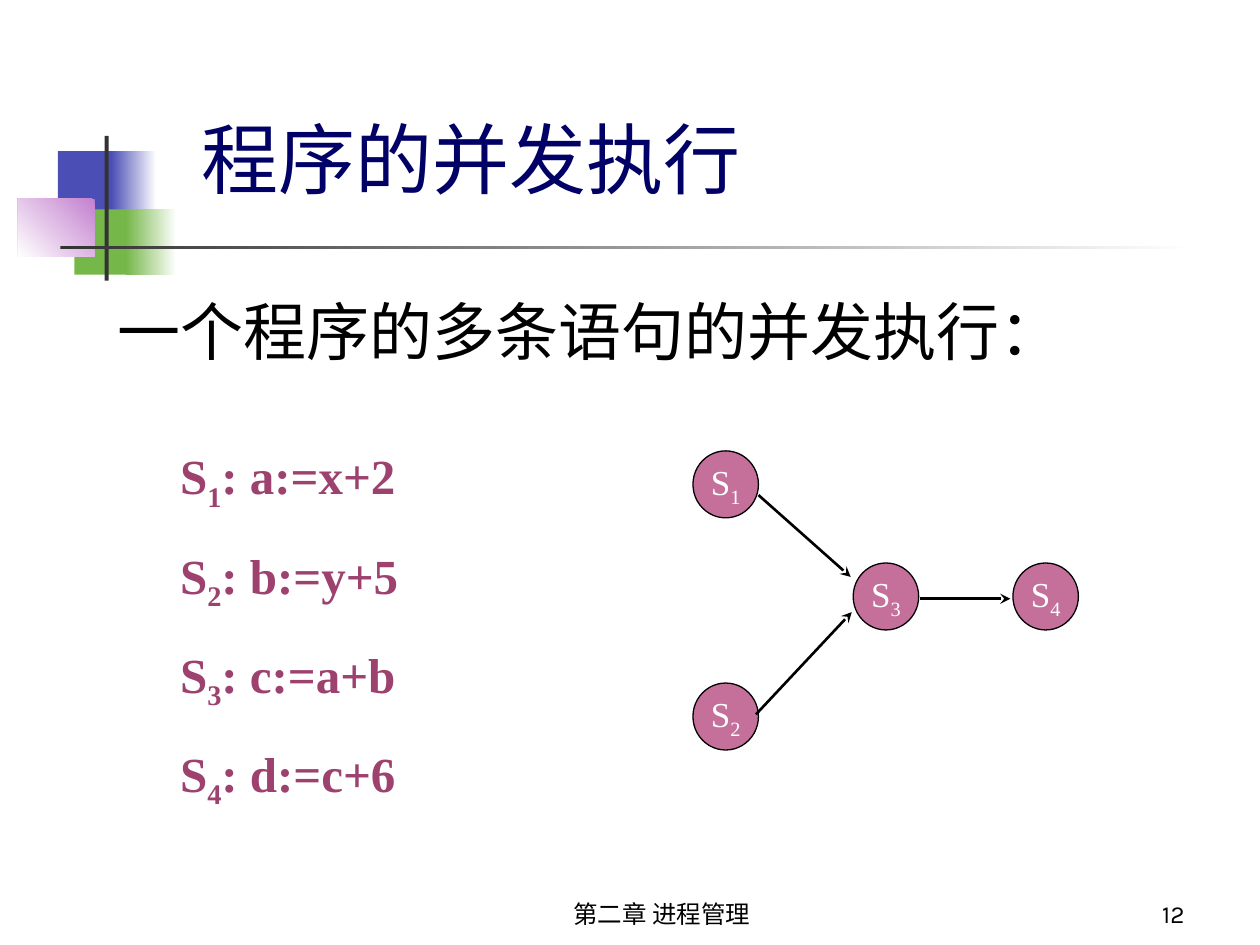
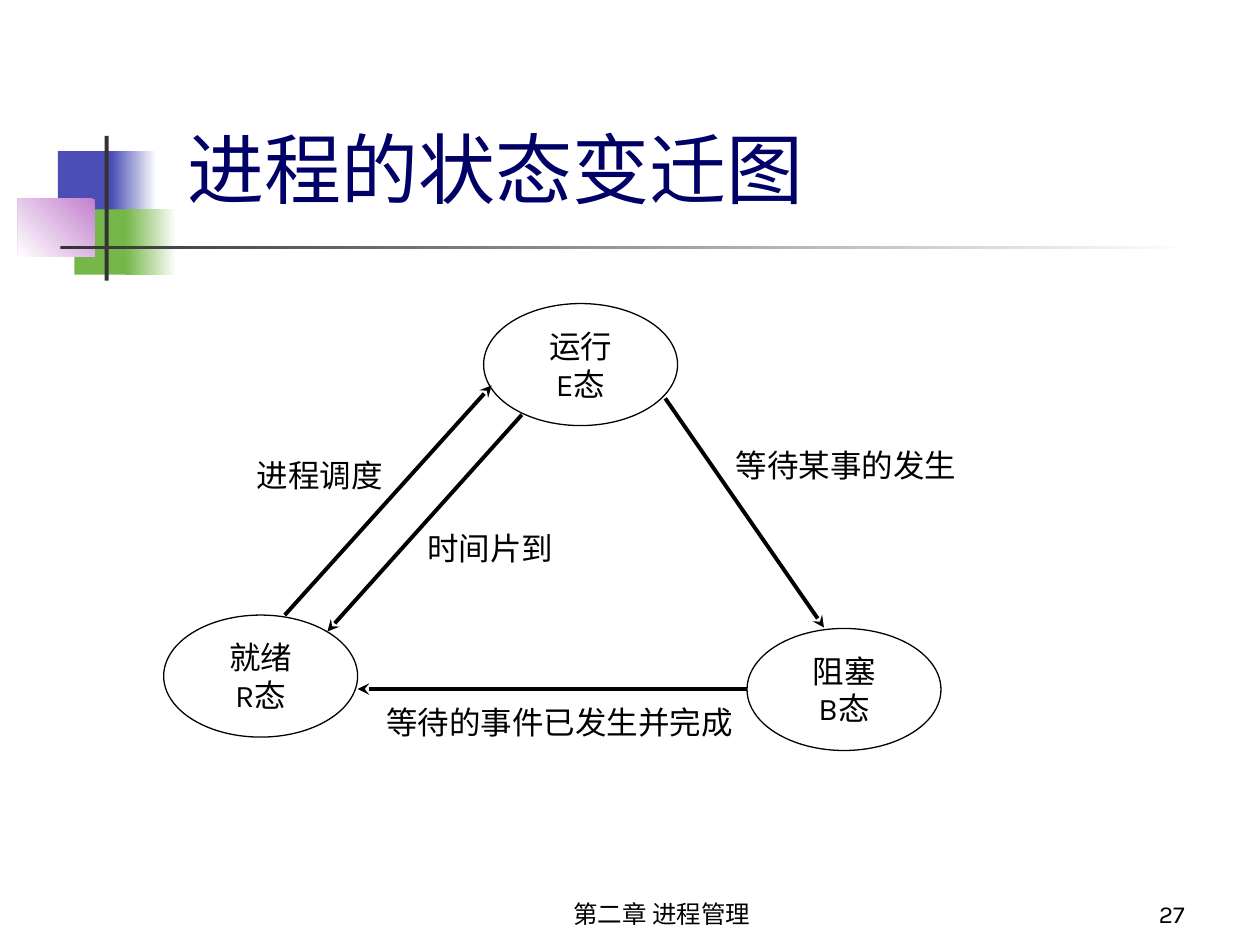
from lxml.etree import SubElement
from pptx import Presentation
from pptx.dml.color import RGBColor
from pptx.enum.shapes import MSO_CONNECTOR, MSO_SHAPE
from pptx.enum.text import MSO_ANCHOR, PP_ALIGN
from pptx.oxml.ns import qn
from pptx.util import Cm, Pt

COLORS = {
    "title": "000066",
    "text": "000000",
    "light": "FFFFFF",
    "code": "9D416F",
    "node": "C4709A",
    "blue": "4B4EB5",
    "green": "76B749",
    "violet": "C481CF",
    "bar": "333333",
}
CJK, LATIN, SERIF = "Noto Sans CJK SC", "Karla", "Times New Roman"
NODE_SIZE = (1.32, 1.35)
STATE_SIZE = (3.91, 2.46)


def rgb(name):
    return RGBColor.from_string(COLORS[name])


def add_run(p, text, size, font, color, bold, baseline=0):
    if not text:
        return
    r = p.add_run()
    r.text = text
    r.font.size = Pt(size)
    r.font.name = font
    r.font.bold = bold
    r.font.color.rgb = rgb(color)
    rPr = r._r.get_or_add_rPr()
    SubElement(rPr, qn("a:ea")).set("typeface", CJK)
    if baseline:
        rPr.set("baseline", str(baseline))


def write(tf, lines, size=18, font=LATIN, color="text", bold=False,
          align=PP_ALIGN.LEFT, anchor=MSO_ANCHOR.TOP, wrap=True,
          spacing=None, before=0):
    tf.word_wrap = wrap
    tf.vertical_anchor = anchor
    for i, line in enumerate(lines):
        p = tf.add_paragraph() if i else tf.paragraphs[0]
        p.alignment = align
        if spacing:
            p.line_spacing = spacing
        if i and before:
            p.space_before = Pt(before)
        head, *rest = line.split("_")
        add_run(p, head, size, font, color, bold)
        for part in rest:
            add_run(p, part[0], size, font, color, bold, -25000)
            add_run(p, part[1:], size, font, color, bold)


def add_text(s, box, *lines, **fmt):
    sp = s.shapes.add_textbox(*map(Cm, box))
    write(sp.text_frame, lines, **fmt)


def add_block(s, box, color, fade=None):
    sp = s.shapes.add_shape(MSO_SHAPE.RECTANGLE, *map(Cm, box))
    sp.shadow.inherit = False
    sp.line.fill.background()
    if fade is None:
        sp.fill.solid()
        sp.fill.fore_color.rgb = rgb(color)
    else:
        sp.fill.gradient()
        sp.fill.gradient_angle = fade
        for stop, name, position in zip(sp.fill.gradient_stops, (color, "light"), (0, 1)):
            stop.color.rgb = rgb(name)
            stop.position = position


def add_ellipse(s, box, *lines, fill=None, **fmt):
    sp = s.shapes.add_shape(MSO_SHAPE.OVAL, *map(Cm, box))
    sp.shadow.inherit = False
    sp.line.color.rgb = rgb("text")
    sp.line.width = Pt(0.75)
    if fill:
        sp.fill.solid()
        sp.fill.fore_color.rgb = rgb(fill)
    else:
        sp.fill.background()
    write(sp.text_frame, lines, align=PP_ALIGN.CENTER,
          anchor=MSO_ANCHOR.MIDDLE, wrap=False, **fmt)


def add_arrow(s, ends, width):
    cx = s.shapes.add_connector(MSO_CONNECTOR.STRAIGHT, *map(Cm, ends))
    cx.line.color.rgb = rgb("text")
    cx.line.width = Pt(width)
    spPr = cx.element.spPr
    SubElement(spPr.find(qn("a:ln")), qn("a:tailEnd")).set("type", "stealth")
    SubElement(spPr, qn("a:effectLst"))


def add_base(prs, title, title_box, number):
    s = prs.slides.add_slide(prs.slide_layouts[6])
    add_block(s, (1.17, 3.05, 1.22, 1.32), "blue")
    add_block(s, (2.24, 3.05, 0.91, 1.32), "blue", fade=0)
    add_block(s, (1.5, 4.22, 1.17, 1.32), "green")
    add_block(s, (2.54, 4.22, 1.02, 1.32), "green", fade=0)
    add_block(s, (0.36, 4.01, 1.55, 1.17), "violet", fade=225)
    add_block(s, (2.11, 2.74, 0.08, 2.92), "bar")
    add_block(s, (1.22, 4.95, 22.86, 0.08), "bar", fade=0)
    add_text(s, title_box, title, size=44, font=CJK, color="title",
             anchor=MSO_ANCHOR.BOTTOM)
    add_text(s, (9.32, 17.58, 8.05, 1.27), "第二章 进程管理", size=14,
             align=PP_ALIGN.CENTER, anchor=MSO_ANCHOR.BOTTOM)
    add_text(s, (18.85, 17.58, 5.28, 1.27), str(number), size=14,
             align=PP_ALIGN.RIGHT, anchor=MSO_ANCHOR.BOTTOM)
    return s


def add_concurrency_slide(prs):
    s = add_base(prs, "程序的并发执行", (3.81, 1.73, 21.03, 2.51), 12)
    add_text(s, (2.11, 5.77, 22.76, 11.25), "一个程序的多条语句的并发执行：",
             size=36, font=CJK)
    add_text(s, (3.38, 8.46, 7.62, 8.03),
             "S_1: a:=x+2", "S_2: b:=y+5", "S_3: c:=a+b", "S_4: d:=c+6",
             size=28, font=SERIF, color="code", bold=True, spacing=1.3, before=7)
    nodes = {
        "S_1": (13.97, 9.09),
        "S_2": (13.97, 13.77),
        "S_3": (17.2, 11.35),
        "S_4": (20.42, 11.35),
    }
    for name, pos in nodes.items():
        add_ellipse(s, pos + NODE_SIZE, name, fill="node", size=20,
                    font=SERIF, color="light")
    for ends in ((15.29, 9.98, 17.15, 11.63),
                 (15.24, 14.4, 17.17, 12.34),
                 (18.54, 12.07, 20.37, 12.07)):
        add_arrow(s, ends, 1.5)


def add_states_slide(prs):
    s = add_base(prs, "进程的状态变迁图", (3.53, 1.93, 18.9, 2.51), 27)
    states = [
        ("运行", "E态", (9.75, 6.12)),
        ("就绪", "R态", (3.3, 12.4)),
        ("阻塞", "B态", (15.06, 12.67)),
    ]
    for name, code, pos in states:
        add_ellipse(s, pos + STATE_SIZE, name, code)
    transitions = [
        ("进程调度", (5.74, 12.4, 9.91, 7.77), (4.93, 9.07, 3.1)),
        ("时间片到", (10.52, 8.36, 6.6, 12.73), (8.36, 10.54, 4.17)),
        ("等待某事的发生", (13.41, 8.03, 16.61, 12.65), (14.58, 8.86, 6.12)),
        ("等待的事件已发生并完成", (15.06, 13.89, 7.21, 13.89), (7.54, 14.05, 7.7)),
    ]
    for label, ends, box in transitions:
        add_arrow(s, ends, 2.25)
        add_text(s, box + (1.02,), label)


def main():
    prs = Presentation()
    prs.slide_width, prs.slide_height = Cm(25.4), Cm(19.05)
    add_concurrency_slide(prs)
    add_states_slide(prs)
    prs.save("out.pptx")


if __name__ == "__main__":
    main()
